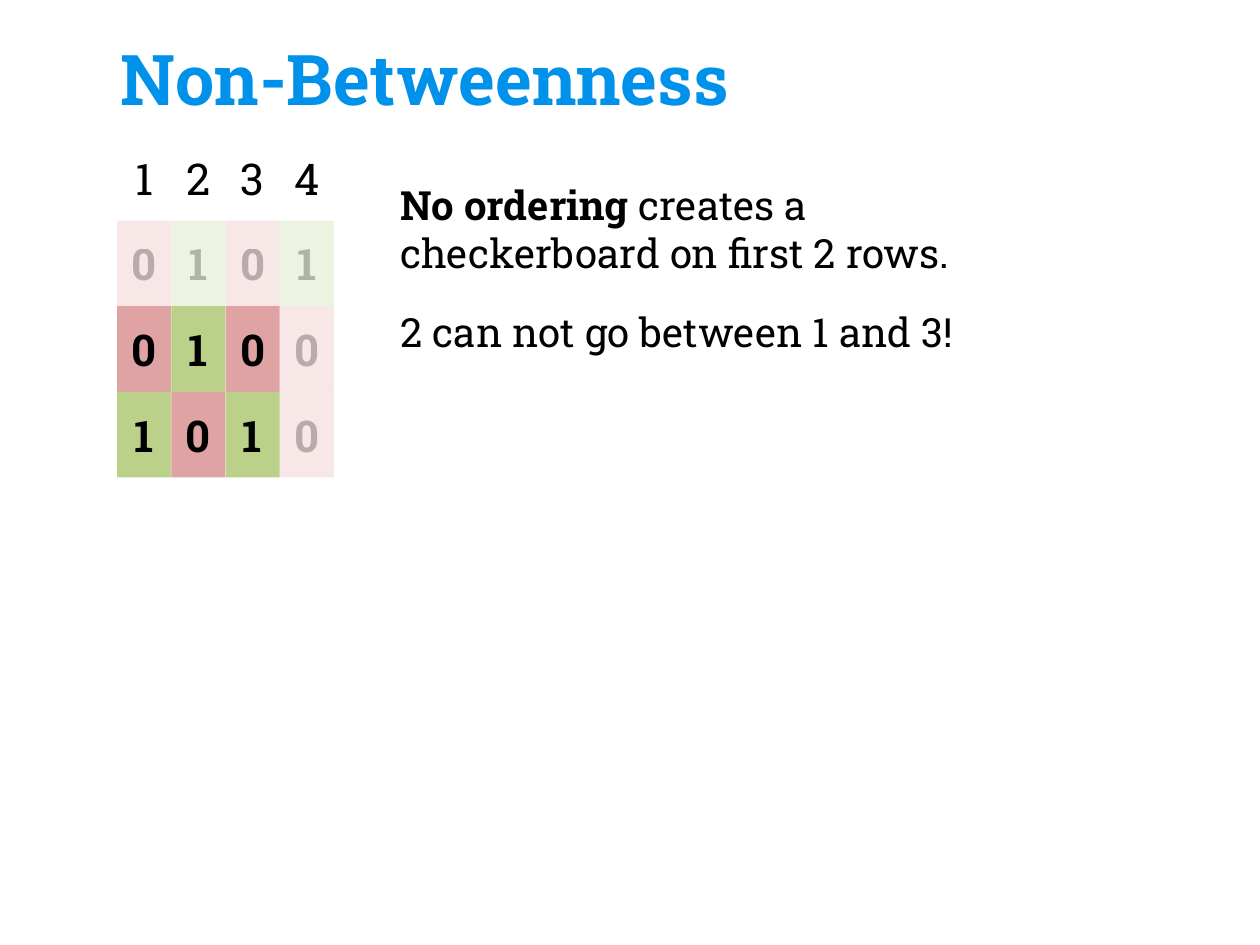
from lxml import etree
from pptx import Presentation
from pptx.dml.color import RGBColor
from pptx.enum import shapes, text
from pptx.oxml import ns
from pptx.util import Inches, Pt

FONT = "Roboto Slab"
COLORS = {"title": "0091EA", "text": "000000", "0": "E0A3A3", "1": "BBD189"}

# Matrix geometry, in inches; the column numbers sit in the row above the cells
LEFT, TOP, CELL_WIDTH, CELL_HEIGHT = 0.93, 1.07, 0.43, 0.68
COLUMNS = "1234"
ROWS = ["0101", "0100", "1010"]
FADED_ROW, FADED_COLUMN = 1, 3
FADED_ALPHA = 25


def write(shape, *parts, size=23, color="text", align=text.PP_ALIGN.LEFT,
          anchor=text.MSO_ANCHOR.TOP):
    """Fill a shape with one paragraph of (string, bold) parts."""
    frame = shape.text_frame
    frame.word_wrap = True
    frame.vertical_anchor = anchor
    frame.margin_left = frame.margin_right = Inches(0.1)
    frame.margin_top = frame.margin_bottom = Inches(0.1)
    para = frame.paragraphs[0]
    para.alignment = align
    for string, bold in parts:
        span = para.add_run()
        span.text = string
        span.font.name = FONT
        span.font.size = Pt(size)
        span.font.bold = bold
        span.font.color.rgb = RGBColor.from_string(COLORS[color])


def add_text(page, left, top, width, height, *parts, **style):
    box = page.shapes.add_textbox(
        Inches(left), Inches(top), Inches(width), Inches(height))
    write(box, *parts, **style)
    return box


def fade(shape):
    """Make the fill and the text of a shape partly transparent."""
    for color in shape._element.iter(ns.qn("a:srgbClr")):
        alpha = etree.SubElement(color, ns.qn("a:alpha"))
        alpha.set("val", str(FADED_ALPHA * 1000))


def add_cell(page, left, top, digit, faded, **style):
    cell = page.shapes.add_shape(
        shapes.MSO_SHAPE.RECTANGLE, Inches(left), Inches(top),
        Inches(CELL_WIDTH), Inches(CELL_HEIGHT))
    cell.shadow.inherit = False
    cell.fill.solid()
    cell.fill.fore_color.rgb = RGBColor.from_string(COLORS[digit])
    cell.line.fill.background()
    write(cell, (digit, True), **style)
    if faded:
        fade(cell)


def add_matrix(page):
    style = {"size": 25, "align": text.PP_ALIGN.CENTER,
             "anchor": text.MSO_ANCHOR.MIDDLE}
    for column, number in enumerate(COLUMNS):
        left = LEFT + column * CELL_WIDTH
        add_text(page, left, TOP, CELL_WIDTH, CELL_HEIGHT,
                 (number, False), **style)
        for row, digits in enumerate(ROWS, start=1):
            faded = row == FADED_ROW or column == FADED_COLUMN
            add_cell(page, left, TOP + row * CELL_HEIGHT, digits[column],
                     faded, **style)


def main():
    deck = Presentation()
    deck.slide_width, deck.slide_height = Inches(10), Inches(7.5)
    page = deck.slides.add_slide(deck.slide_layouts[6])

    # Title
    add_text(page, 0.86, 0.03, 8.28, 1.02, ("Non-Betweenness", True),
             size=40, color="title", anchor=text.MSO_ANCHOR.BOTTOM)

    # Matrix with its column numbers
    add_matrix(page)

    # Explanation
    notes = [
        (1.33, 0.98, [("No ordering", True),
                      (" creates a checkerboard on first 2 rows.", False)]),
        (2.34, 0.59, [("2 can not go between 1 and 3!", False)]),
    ]
    for top, height, parts in notes:
        box = add_text(page, 3.08, top, 4.93, height, *parts)
        box.text_frame.auto_size = text.MSO_AUTO_SIZE.SHAPE_TO_FIT_TEXT

    deck.save("out.pptx")


if __name__ == "__main__":
    main()
